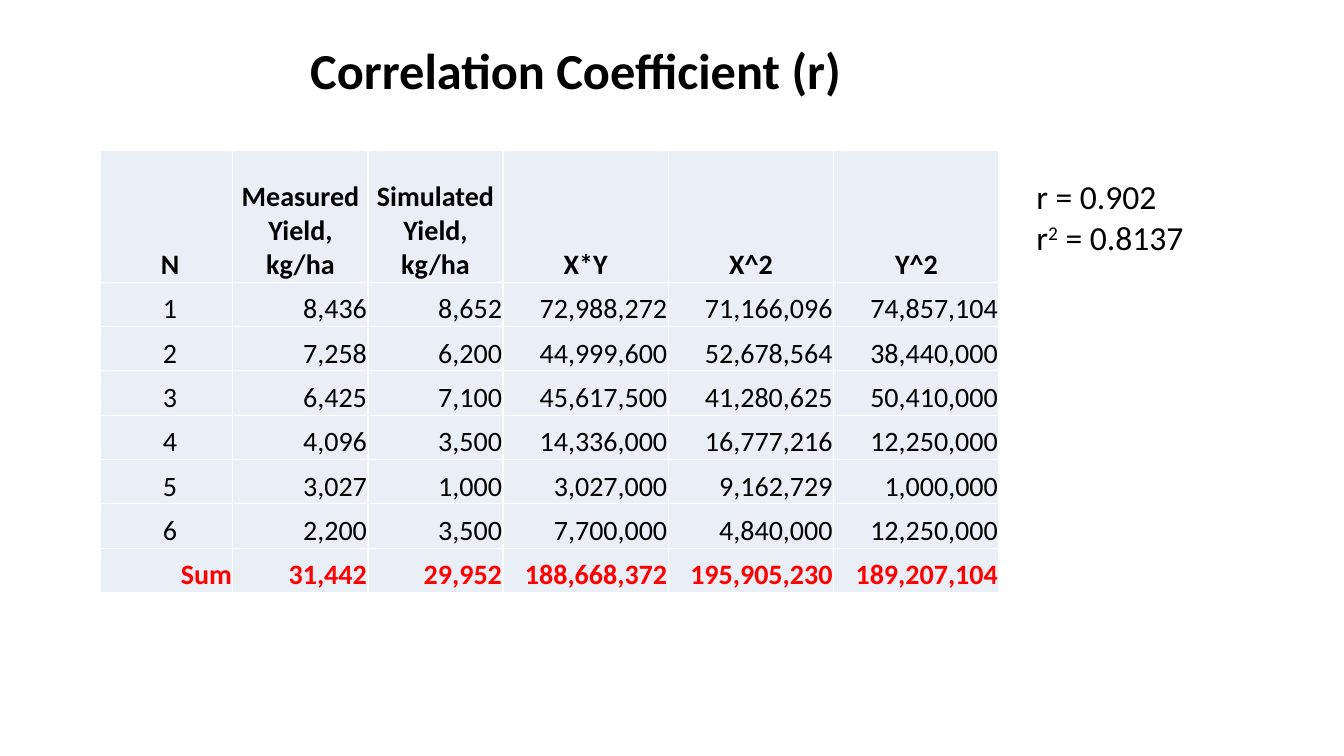
from lxml.etree import SubElement
from pptx import Presentation
from pptx.dml.color import RGBColor
from pptx.enum.text import MSO_ANCHOR, PP_ALIGN
from pptx.oxml.ns import qn
from pptx.util import Inches, Pt

BLACK = RGBColor(0x00, 0x00, 0x00)
RED = RGBColor(0xFF, 0x00, 0x00)
WHITE = RGBColor(0xFF, 0xFF, 0xFF)
PALE = RGBColor(0xEA, 0xEF, 0xF7)
FACE = "Calibri"


def style(para, size, color=BLACK, bold=False):
    font = para.font
    font.name, font.size, font.bold = FACE, Pt(size), bold
    font.color.rgb = color


def edge(cell):
    """Draw a thin white line on all four sides of the cell."""
    props = cell._tc.get_or_add_tcPr()
    for side in ("lnL", "lnR", "lnT", "lnB"):
        line = SubElement(props, qn(f"a:{side}"), w=str(Pt(1)))
        fill = SubElement(line, qn("a:solidFill"))
        SubElement(fill, qn("a:srgbClr"), val=str(WHITE))


deck = Presentation()
deck.slide_width, deck.slide_height = Inches(13.33), Inches(7.5)
slide = deck.slides.add_slide(deck.slide_layouts[5])

# Title
title = slide.shapes.title
title.left, title.top = Inches(2.88), Inches(0.33)
title.width, title.height = Inches(5.66), Inches(0.71)
title.text_frame.text = "Correlation Coefficient (r)"
title.text_frame.word_wrap = False
style(title.text_frame.paragraphs[0], 36, bold=True)

# Yields and the products derived from them
measured = [8436, 7258, 6425, 4096, 3027, 2200]
simulated = [8652, 6200, 7100, 3500, 1000, 3500]
data = [(x, y, x * y, x * x, y * y) for x, y in zip(measured, simulated)]
sums = [sum(col) for col in zip(*data)]

head = [" N", "Measured Yield, kg/ha", "Simulated Yield, kg/ha", "X*Y", "X^2", "Y^2"]
rows = [head]
for num, vals in enumerate(data, 1):
    rows.append([f" {num}"] + [f"{val:,}" for val in vals])
rows.append(["Sum"] + [f"{val:,}" for val in sums])
last = len(rows) - 1

# Table
widths = [1.31] + [1.34] * 2 + [1.64] * 3
heights = [1.31] + [0.44] * last
frame = slide.shapes.add_table(len(rows), len(head), Inches(1), Inches(1.49),
                               Inches(sum(widths)), Inches(sum(heights)))
table = frame.table
table.horz_banding = False
for col, width in zip(table.columns, widths):
    col.width = Inches(width)
for row, height in zip(table.rows, heights):
    row.height = Inches(height)

for r, texts in enumerate(rows):
    for c, text in enumerate(texts):
        cell = table.cell(r, c)
        cell.text = text
        cell.vertical_anchor = MSO_ANCHOR.BOTTOM
        cell.margin_left = cell.margin_right = cell.margin_top = Inches(0.01)
        cell.margin_bottom = 0
        edge(cell)
        cell.fill.solid()
        cell.fill.fore_color.rgb = PALE
        para = cell.text_frame.paragraphs[0]
        center = r == 0 or (c == 0 and r < last)
        para.alignment = PP_ALIGN.CENTER if center else PP_ALIGN.RIGHT
        style(para, 20, RED if r == last else BLACK, r in (0, last))

# Result
box = slide.shapes.add_textbox(Inches(10.18), Inches(1.7), Inches(1.69), Inches(0.91))
result = box.text_frame
result.word_wrap = False
result.text = "r = 0.902"
square = result.add_paragraph()
for text in ("r", "2", " = 0.8137"):
    run = square.add_run()
    run.text = text
    if text == "2":
        run.font._element.set("baseline", "30000")
for para in result.paragraphs:
    style(para, 24)

deck.save("out.pptx")
